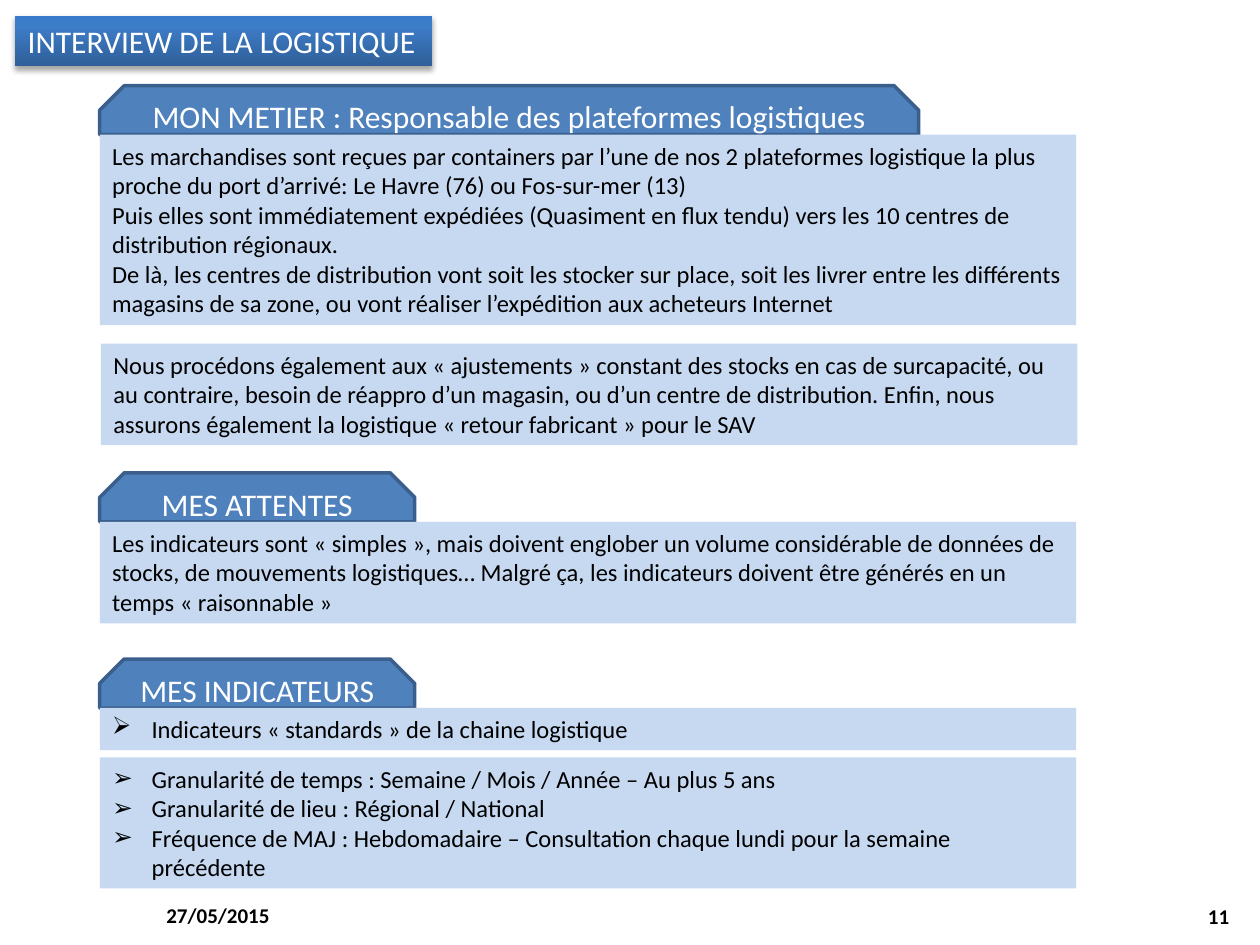
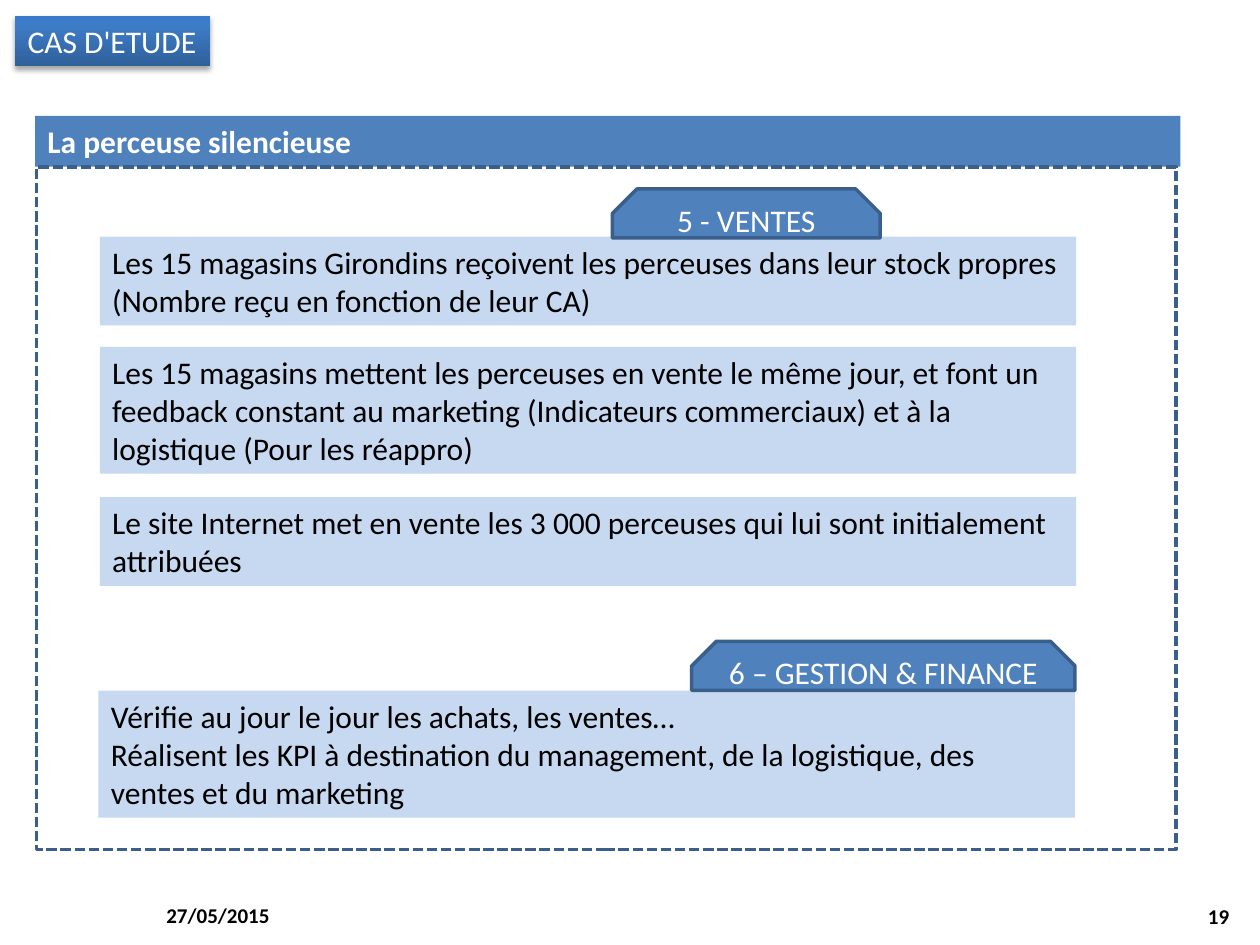
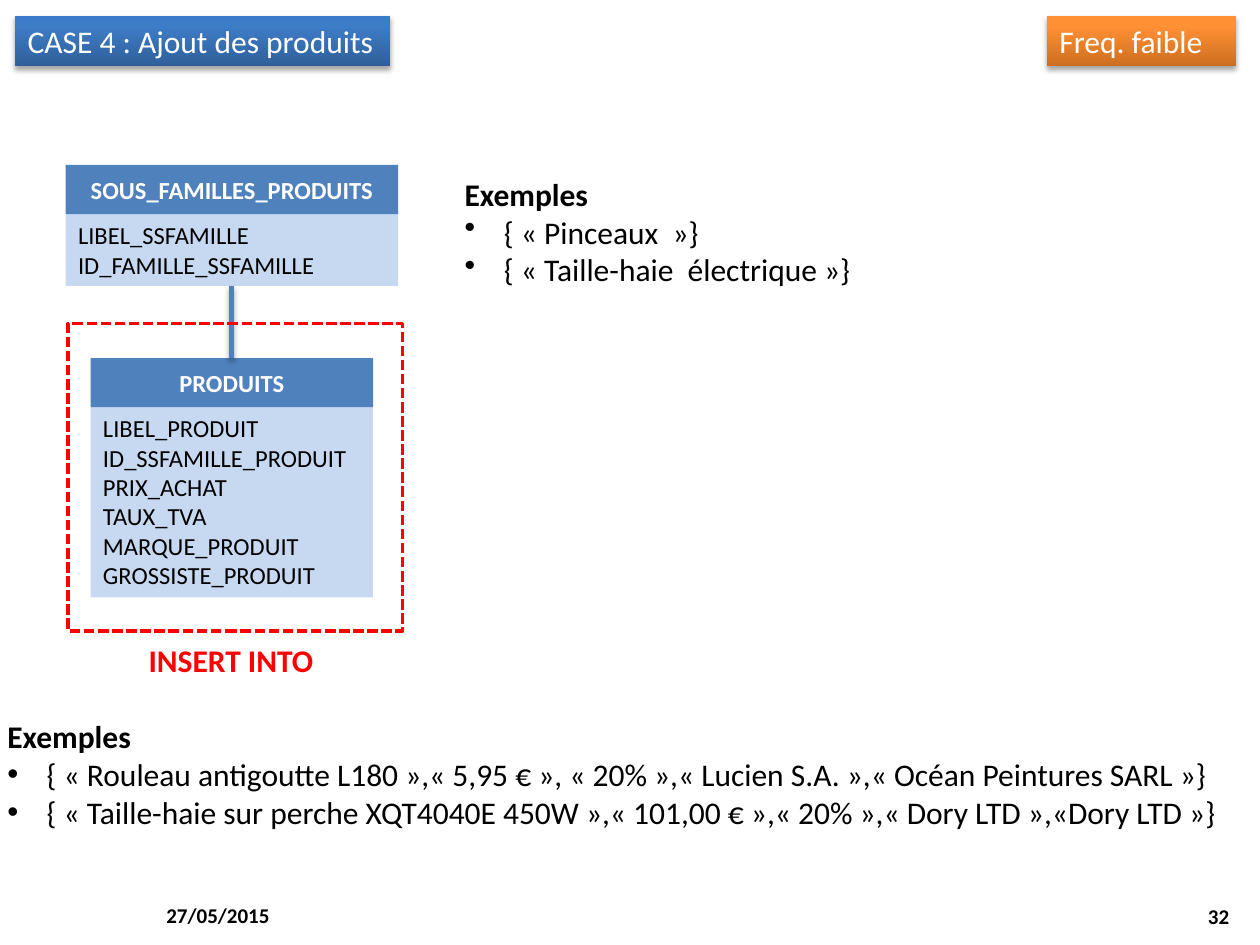
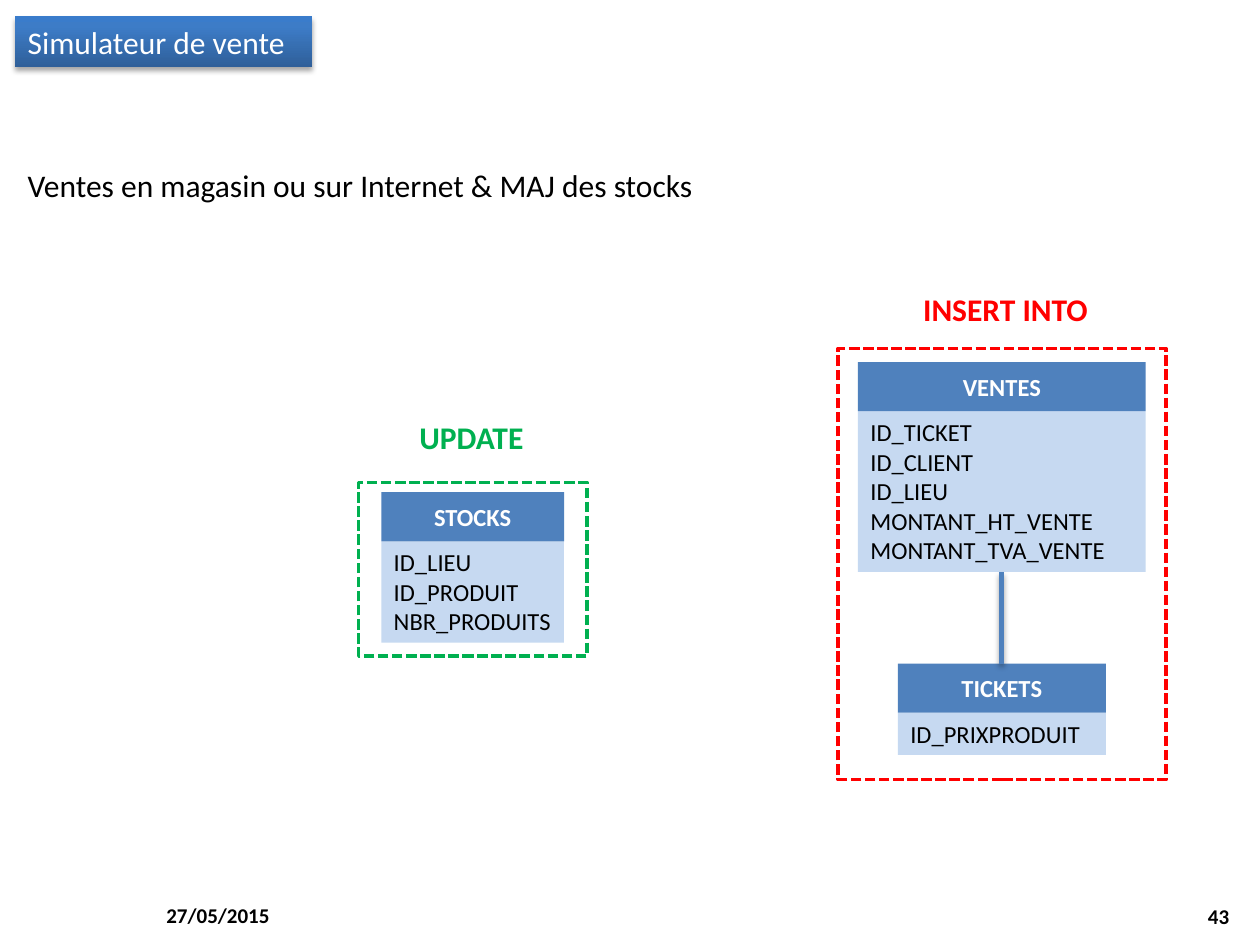
import lxml.etree
import pptx
import pptx.dml.color
import pptx.enum.dml
import pptx.enum.shapes
import pptx.enum.text
import pptx.oxml.ns
import pptx.util

Pt = pptx.util.Pt
qn = pptx.oxml.ns.qn
SHAPES = pptx.enum.shapes.MSO_SHAPE
ALIGN = pptx.enum.text.PP_ALIGN
ANCHOR = pptx.enum.text.MSO_ANCHOR

COLORS = {
    "band": "4F81BD",
    "edge": "3A5F8C",
    "panel": "C6D9F1",
    "white": "FFFFFF",
    "black": "000000",
    "insert": "FF0000",
    "update": "00B050",
}
GRADIENTS = {
    "blue": ((0, "2F5F99"), (80, "3D7CC7"), (100, "3A7CCB")),
    "orange": ((0, "CC6E20"), (80, "FF9034"), (100, "FF9136")),
}
FONT = "Calibri"
DATE = "27/05/2015"
TAB_HEIGHT = 28
PANEL_LEFT = 57
PANEL_WIDTH = 558
INDENT = 22.5


def rgb(name):
    return pptx.dml.color.RGBColor.from_string(COLORS[name])


def text_height(lines, size):
    return round(lines * size * 1.21 + 7.2, 2)


def place(box, left, top, width, height):
    box.left, box.top, box.width, box.height = Pt(left), Pt(top), Pt(width), Pt(height)


def set_bullet(para, bullet):
    properties = para._p.get_or_add_pPr()
    indent = int(Pt(INDENT)) if bullet else 0
    properties.set("marL", str(indent))
    properties.set("indent", str(-indent))
    if bullet:
        lxml.etree.SubElement(properties, qn("a:buChar")).set("char", bullet)
    else:
        lxml.etree.SubElement(properties, qn("a:buNone"))


def write(box, lines, size, color="black", bold=False, align=ALIGN.LEFT, bullet=None,
          heading=False, wrap=True, anchor=ANCHOR.TOP, spacing=1.0):
    frame = box.text_frame
    frame.word_wrap = wrap
    frame.vertical_anchor = anchor
    frame.auto_size = pptx.enum.text.MSO_AUTO_SIZE.NONE
    for index, line in enumerate(lines):
        para = frame.paragraphs[0] if index == 0 else frame.add_paragraph()
        is_heading = heading and index == 0
        set_bullet(para, None if is_heading else bullet)
        para.alignment = align
        para.line_spacing = spacing
        para.space_before = Pt(0)
        para.add_run().text = line
        para.font.name = FONT
        para.font.size = Pt(size)
        para.font.bold = bold or is_heading
        para.font.color.rgb = rgb(color)


def fill_solid(box, color):
    box.fill.solid()
    box.fill.fore_color.rgb = rgb(color)


def fill_gradient(box, name):
    box.fill.gradient()
    box.fill.gradient_angle = 90
    stops = box._element.spPr.find(".//" + qn("a:gsLst"))
    stops.clear()
    for position, color in GRADIENTS[name]:
        stop = lxml.etree.SubElement(stops, qn("a:gs"), pos=str(position * 1000))
        lxml.etree.SubElement(stop, qn("a:srgbClr"), val=color)


def cast_shadow(item):
    properties = item._element.spPr
    for effects in properties.findall(qn("a:effectLst")):
        properties.remove(effects)
    effects = lxml.etree.SubElement(properties, qn("a:effectLst"))
    shadow = lxml.etree.SubElement(effects, qn("a:outerShdw"), blurRad=str(Pt(3.1)),
                                   dist=str(Pt(1.8)), dir="5400000", rotWithShape="0")
    color = lxml.etree.SubElement(shadow, qn("a:srgbClr"), val=COLORS["black"])
    lxml.etree.SubElement(color, qn("a:alpha"), val="35000")


def add_shape(page, kind, left, top, width, height):
    box = page.shapes.add_shape(kind, Pt(left), Pt(top), Pt(width), Pt(height))
    box.shadow.inherit = False
    box.line.fill.background()
    return box


def add_label(page, left, top, width, height, lines, size, **style):
    box = page.shapes.add_textbox(Pt(left), Pt(top), Pt(width), Pt(height))
    write(box, lines, size, **style)


def style_badge(box, text, gradient, wrap):
    fill_gradient(box, gradient)
    box.line.fill.background()
    cast_shadow(box)
    write(box, [text], 18, color="white", wrap=wrap)


def add_page(deck, title, title_width, number, title_top=9):
    page = deck.slides.add_slide(deck.slide_layouts[1])
    place(page.shapes.title, 8.6, title_top, title_width, 29)
    style_badge(page.shapes.title, title, "blue", False)
    add_label(page, 88, 508.5, 168, 28.8, [DATE], 12, bold=True, anchor=ANCHOR.MIDDLE)
    add_label(page, 541.5, 509, 168, 28.8, [number], 12, bold=True,
              align=ALIGN.RIGHT, anchor=ANCHOR.MIDDLE)
    return page


def style_panel(box, lines, size, bullet=None):
    fill_solid(box, "panel")
    write(box, lines, size, bullet=bullet)


def add_panel(page, top, rows, lines, size, left=PANEL_LEFT, width=PANEL_WIDTH, bullet=None):
    box = add_shape(page, SHAPES.RECTANGLE, left, top, width, text_height(rows, size))
    style_panel(box, lines, size, bullet)
    return box


def place_body_panel(page, top, rows, lines, size, left=PANEL_LEFT, bullet=None):
    body = page.placeholders[1]
    place(body, left, top, PANEL_WIDTH, text_height(rows, size))
    style_panel(body, lines, size, bullet)


def add_tab(page, left, top, width, text, size=18, snip=0.5, bold=False):
    tab = add_shape(page, SHAPES.SNIP_2_SAME_RECTANGLE, left, top, width, TAB_HEIGHT)
    tab.adjustments[0] = snip
    tab.adjustments[1] = 0
    fill_solid(tab, "band")
    if snip:
        tab.line.color.rgb = rgb("edge")
        tab.line.width = Pt(2)
    write(tab, [text], size, color="white", bold=bold, align=ALIGN.CENTER,
          anchor=ANCHOR.MIDDLE)
    return tab


def add_entity(page, left, top, width, name, fields):
    body = add_panel(page, top + TAB_HEIGHT, len(fields), fields, 14, left, width)
    header = add_tab(page, left, top, width, name, size=14, snip=0, bold=True)
    return header, body


def link_entities(page, parent_body, child_header):
    middle = child_header.left + child_header.width // 2
    link = page.shapes.add_connector(pptx.enum.shapes.MSO_CONNECTOR.STRAIGHT, 0, 0, 0, 0)
    link.begin_connect(parent_body, 2)
    link.end_connect(child_header, 3)
    link.end_x, link.end_y = middle, child_header.top
    link.line.color.rgb = rgb("band")
    link.line.width = Pt(3)
    cast_shadow(link)


def add_frame(page, left, top, width, height, color):
    frame = add_shape(page, SHAPES.RECTANGLE, left, top, width, height)
    frame.fill.background()
    frame.line.color.rgb = rgb(color)
    frame.line.width = Pt(2)
    frame.line.dash_style = pptx.enum.dml.MSO_LINE.SQUARE_DOT


def add_caption(page, left, top, width, text, color):
    add_label(page, left, top, width, 29, [text], 18, color=color, bold=True, wrap=False)


def build_interview(deck):
    page = add_page(deck, "INTERVIEW DE LA LOGISTIQUE", 238.3, "11")
    place_body_panel(page, 432.8, 4, [
        "Granularité de temps : Semaine / Mois / Année – Au plus 5 ans",
        "Granularité de lieu : Régional / National",
        "Fréquence de MAJ : Hebdomadaire – Consultation chaque lundi pour la semaine précédente",
    ], 14, bullet="➢")
    sections = [
        (77, 468, "MON METIER : Responsable des plateformes logistiques", 6, None, [
            "Les marchandises sont reçues par containers par l’une de nos 2 plateformes logistique "
            "la plus proche du port d’arrivé: Le Havre (76) ou Fos-sur-mer (13)",
            "Puis elles sont immédiatement expédiées (Quasiment en flux tendu) vers les 10 centres "
            "de distribution régionaux.",
            "De là, les centres de distribution vont soit les stocker sur place, soit les livrer "
            "entre les différents magasins de sa zone, ou vont réaliser l’expédition aux "
            "acheteurs Internet",
        ]),
        (298.2, 180, "MES ATTENTES", 3, None, [
            "Les indicateurs sont « simples », mais doivent englober un volume considérable de "
            "données de stocks, de mouvements logistiques… Malgré ça, les indicateurs doivent "
            "être générés en un temps « raisonnable »",
        ]),
        (404.6, 180, "MES INDICATEURS", 1, "➢", [
            "Indicateurs « standards » de la chaine logistique",
        ]),
    ]
    for top, tab_width, heading, rows, bullet, lines in sections:
        add_tab(page, PANEL_LEFT, top - TAB_HEIGHT, tab_width, heading)
        add_panel(page, top, rows, lines, 14, bullet=bullet)
    add_panel(page, 196.4, 3, [
        "Nous procédons également aux « ajustements » constant des stocks en cas de surcapacité, "
        "ou au contraire, besoin de réappro d’un magasin, ou d’un centre de distribution. Enfin, "
        "nous assurons également la logistique « retour fabricant » pour le SAV",
    ], 14, left=57.7)


def build_case_study(deck):
    page = add_page(deck, "CAS D'ETUDE", 111.6, "19")
    band = add_shape(page, SHAPES.RECTANGLE, 20, 66.2, 654.5, 29)
    fill_solid(band, "band")
    write(band, ["La perceuse silencieuse"], 18, color="white", bold=True)
    add_frame(page, 21, 95.4, 651, 390, "edge")
    place_body_panel(page, 394.7, 3, [
        "Vérifie au jour le jour les achats, les ventes…",
        "Réalisent les KPI à destination du management, de la logistique, des ventes et du "
        "marketing",
    ], 18, left=56.2)
    steps = [
        (135.2, 2, "Les 15 magasins Girondins reçoivent les perceuses dans leur stock propres "
                   "(Nombre reçu en fonction de leur CA)"),
        (198.2, 3, "Les 15 magasins mettent les perceuses en vente le même jour, et font un "
                   "feedback constant au marketing (Indicateurs commerciaux) et à la logistique "
                   "(Pour les réappro)"),
        (284, 2, "Le site Internet met en vente les 3 000 perceuses qui lui sont initialement "
                 "attribuées"),
    ]
    for top, rows, text in steps:
        add_panel(page, top, rows, [text], 18)
    add_tab(page, 350, 108, 153, "5 - VENTES")
    add_tab(page, 395.3, 366.5, 219, "6 – GESTION & FINANCE")


def build_product_case(deck):
    page = add_page(deck, "CASE 4 : Ajout des produits", 214.5, "32")
    badge = add_shape(page, SHAPES.RECTANGLE, 598.3, 9, 108, 29)
    style_badge(badge, "Freq. faible", "orange", True)
    child_header, _ = add_entity(page, 51.8, 204.6, 161.4, "PRODUITS", [
        "LIBEL_PRODUIT", "ID_SSFAMILLE_PRODUIT", "PRIX_ACHAT", "TAUX_TVA",
        "MARQUE_PRODUIT", "GROSSISTE_PRODUIT"])
    _, parent_body = add_entity(page, 37.5, 94.3, 190, "SOUS_FAMILLES_PRODUITS",
                                ["LIBEL_SSFAMILLE", "ID_FAMILLE_SSFAMILLE"])
    link_entities(page, parent_body, child_header)
    add_frame(page, 39, 184.8, 191, 175.8, "insert")
    add_caption(page, 77.8, 362.5, 109.4, "INSERT INTO", "insert")
    body = page.placeholders[1]
    place(body, -3, 406.3, 731.5, 72.7)
    write(body, [
        "Exemples",
        "{ « Rouleau antigoutte L180 »,« 5,95 € », « 20% »,« Lucien S.A. »,"
        "« Océan Peintures SARL »}",
        "{ « Taille-haie sur perche XQT4040E 450W »,« 101,00 € »,« 20% »,« Dory LTD »,"
        "«Dory LTD »}",
    ], 18, bullet="•", heading=True, wrap=False)
    add_label(page, 258.4, 96.3, 237.6, 72.7, [
        "Exemples", "{ « Pinceaux  »}", "{ « Taille-haie  électrique »}",
    ], 18, bullet="•", heading=True, wrap=False)


def build_simulator(deck):
    page = add_page(deck, "Simulateur de vente", 170, "43", title_top=9.4)
    body = page.placeholders[1]
    place(body, 8.6, 69.8, 491.8, 44.6)
    write(body, ["Ventes en magasin ou sur Internet & MAJ des stocks"], 18, spacing=2.0)
    _, sales_body = add_entity(page, 490.3, 207, 164.4, "VENTES", [
        "ID_TICKET", "ID_CLIENT", "ID_LIEU", "MONTANT_HT_VENTE", "MONTANT_TVA_VENTE"])
    ticket_header, _ = add_entity(page, 513.1, 379.2, 118.8, "TICKETS", ["ID_PRIXPRODUIT"])
    link_entities(page, sales_body, ticket_header)
    add_frame(page, 479, 199.2, 187.4, 246.4, "insert")
    add_caption(page, 520.4, 162.2, 109.4, "INSERT INTO", "insert")
    add_entity(page, 217.9, 281.3, 104.4, "STOCKS", ["ID_LIEU", "ID_PRODUIT", "NBR_PRODUITS"])
    add_frame(page, 205, 275.8, 130.5, 99.2, "update")
    add_caption(page, 232.6, 235.5, 74.9, "UPDATE", "update")


def main():
    deck = pptx.Presentation()
    deck.slide_width, deck.slide_height = Pt(720), Pt(540)
    build_interview(deck)
    build_case_study(deck)
    build_product_case(deck)
    build_simulator(deck)
    deck.save("out.pptx")


if __name__ == "__main__":
    main()
